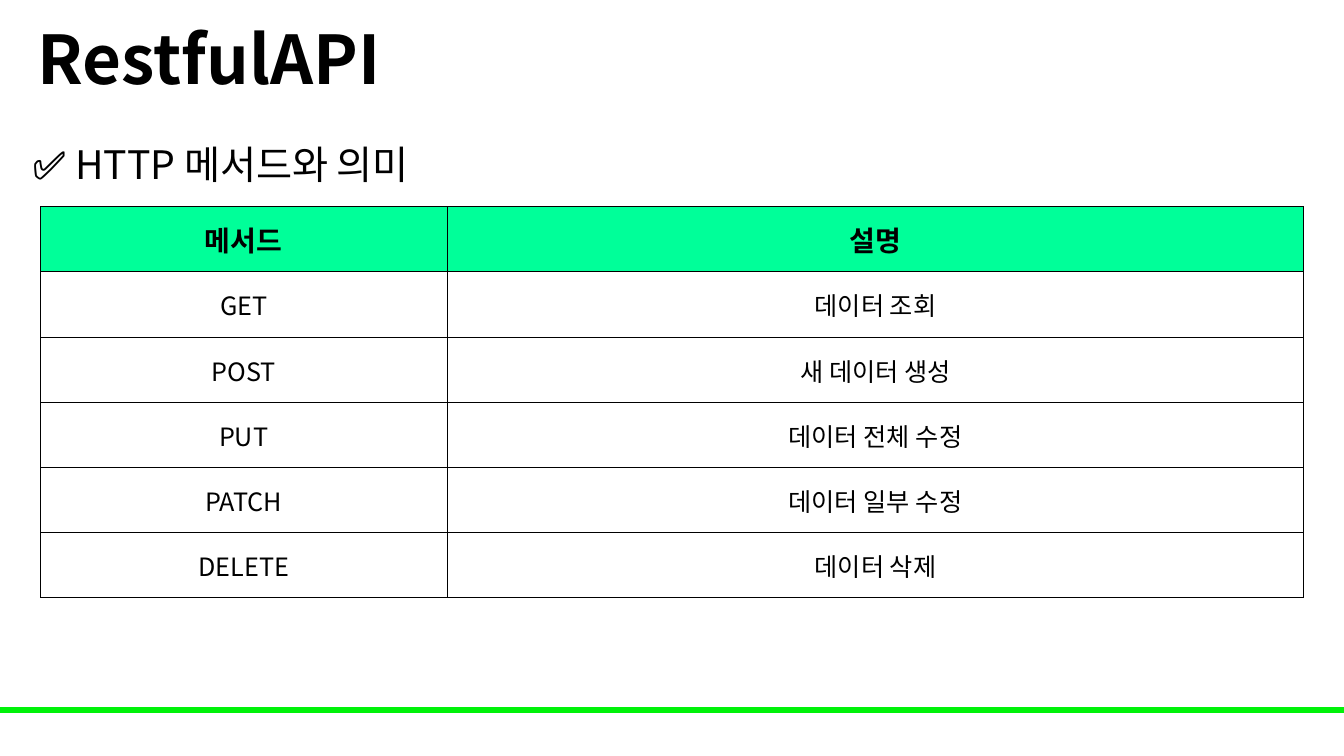
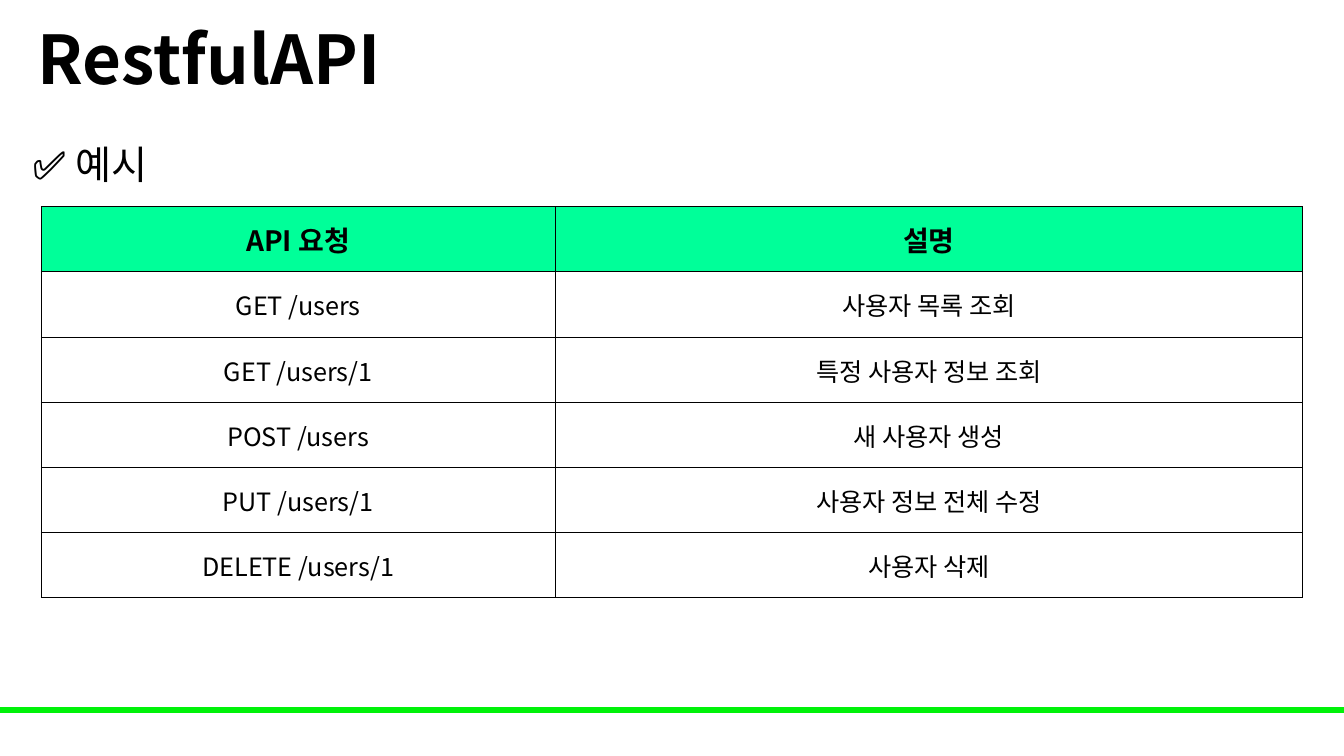
from lxml.etree import SubElement
from pptx import Presentation
from pptx.dml.color import RGBColor
from pptx.enum.shapes import MSO_SHAPE
from pptx.enum.text import MSO_ANCHOR, PP_ALIGN
from pptx.oxml.ns import qn
from pptx.util import Pt

FONT = "Noto Sans CJK KR"
BLACK, WHITE = "000000", "FFFFFF"
BAR_GREEN, HEADER_GREEN = "00F209", "00FF99"
SLIDE_W, SLIDE_H = 960, 540
TITLE_BOX = (20, 0, 828, 90)
SUBTITLE_BOX = (16, 90, 584, 57.5)
BAR_BOX = (0, 505.5, SLIDE_W, 3.6)
TABLE_TOP, ROW_H = 147.6, 46.55

TITLE = {"size": Pt(48), "bold": True}
SUBTITLE = {"size": Pt(28), "bold": False}
HEADER = {"size": Pt(20), "bold": True}
BODY = {"size": Pt(18), "bold": False}
CELL = {"margin_left": Pt(0.7), "margin_right": Pt(0.7), "margin_top": Pt(0.7),
        "margin_bottom": 0, "vertical_anchor": MSO_ANCHOR.MIDDLE}

SLIDES = [
    {"subtitle": "✅ HTTP 메서드와 의미", "left": 28.8, "widths": (290.5, 612),
     "rows": [("메서드", "설명"), ("GET", "데이터 조회"), ("POST", "새 데이터 생성"),
              ("PUT", "데이터 전체 수정"), ("PATCH", "데이터 일부 수정"),
              ("DELETE", "데이터 삭제")]},
    {"subtitle": "✅ 예시", "left": 29.5, "widths": (367, 534),
     "rows": [("API 요청", "설명"), ("GET /users", "사용자 목록 조회"),
              ("GET /users/1", "특정 사용자 정보 조회"),
              ("POST /users", "새 사용자 생성"),
              ("PUT /users/1", "사용자 정보 전체 수정"),
              ("DELETE /users/1", "사용자 삭제")]},
]


def rgb(value):
    """Turn a hex string into a colour."""
    return RGBColor.from_string(value)


def set_attrs(obj, values):
    """Set each attribute named in a dict."""
    for name, value in values.items():
        setattr(obj, name, value)


def paint(obj, color):
    """Fill a shape or cell with one colour."""
    obj.fill.solid()
    obj.fill.fore_color.rgb = rgb(color)


def write(tf, text, style, **layout):
    """Write one styled paragraph into a text frame."""
    p = tf.paragraphs[0]
    set_attrs(p, layout)
    r = p.add_run()
    r.text = text
    set_attrs(r.font, {"name": FONT, **style})
    r.font.color.rgb = rgb(BLACK)
    SubElement(r.font._element, qn("a:ea"), typeface=FONT)


def add_text(s, box, text, style, anchor, spacing):
    """Add a wrapped text box."""
    tf = s.shapes.add_textbox(*map(Pt, box)).text_frame
    set_attrs(tf, {"word_wrap": True, "vertical_anchor": anchor})
    write(tf, text, style, line_spacing=spacing)


def add_bar(s, box):
    """Add the green footer bar."""
    sp = s.shapes.add_shape(MSO_SHAPE.RECTANGLE, *map(Pt, box))
    sp.shadow.inherit = False
    paint(sp, BAR_GREEN)
    sp.line.color.rgb = rgb(BAR_GREEN)
    sp.line.width = Pt(1)


def add_borders(cell):
    """Draw thin black lines on all four sides of a cell."""
    tc_pr = cell._tc.get_or_add_tcPr()
    for i, side in enumerate(("a:lnL", "a:lnR", "a:lnT", "a:lnB")):
        ln = tc_pr.makeelement(qn(side), {"w": str(Pt(0.5))})
        SubElement(SubElement(ln, qn("a:solidFill")), qn("a:srgbClr"), val=BLACK)
        tc_pr.insert(i, ln)


def add_grid(s, left, top, widths, rows):
    """Add a two-tone table with a header row."""
    box = (left, top, sum(widths), ROW_H * len(rows))
    table = s.shapes.add_table(len(rows), len(widths), *map(Pt, box)).table
    set_attrs(table, {"first_row": False, "horz_banding": False})
    for column, width in zip(table.columns, widths):
        column.width = Pt(width)
    for i, texts in enumerate(rows):
        table.rows[i].height = Pt(ROW_H)
        style, fill = (BODY, WHITE) if i else (HEADER, HEADER_GREEN)
        for j, text in enumerate(texts):
            cell = table.cell(i, j)
            set_attrs(cell, CELL)
            paint(cell, fill)
            add_borders(cell)
            write(cell.text_frame, text, style, alignment=PP_ALIGN.CENTER)


def add_table_slide(prs, subtitle, left, widths, rows):
    """Add a slide with title, subtitle, table and footer bar."""
    s = prs.slides.add_slide(prs.slide_layouts[6])
    add_bar(s, BAR_BOX)
    add_text(s, TITLE_BOX, "RestfulAPI", TITLE, MSO_ANCHOR.MIDDLE, 0.9)
    add_text(s, SUBTITLE_BOX, subtitle, SUBTITLE, MSO_ANCHOR.TOP, 1.2)
    add_grid(s, left, TABLE_TOP, widths, rows)


def main():
    """Build and save the presentation."""
    prs = Presentation()
    set_attrs(prs, {"slide_width": Pt(SLIDE_W), "slide_height": Pt(SLIDE_H)})
    for content in SLIDES:
        add_table_slide(prs, **content)
    prs.save("out.pptx")


if __name__ == "__main__":
    main()
